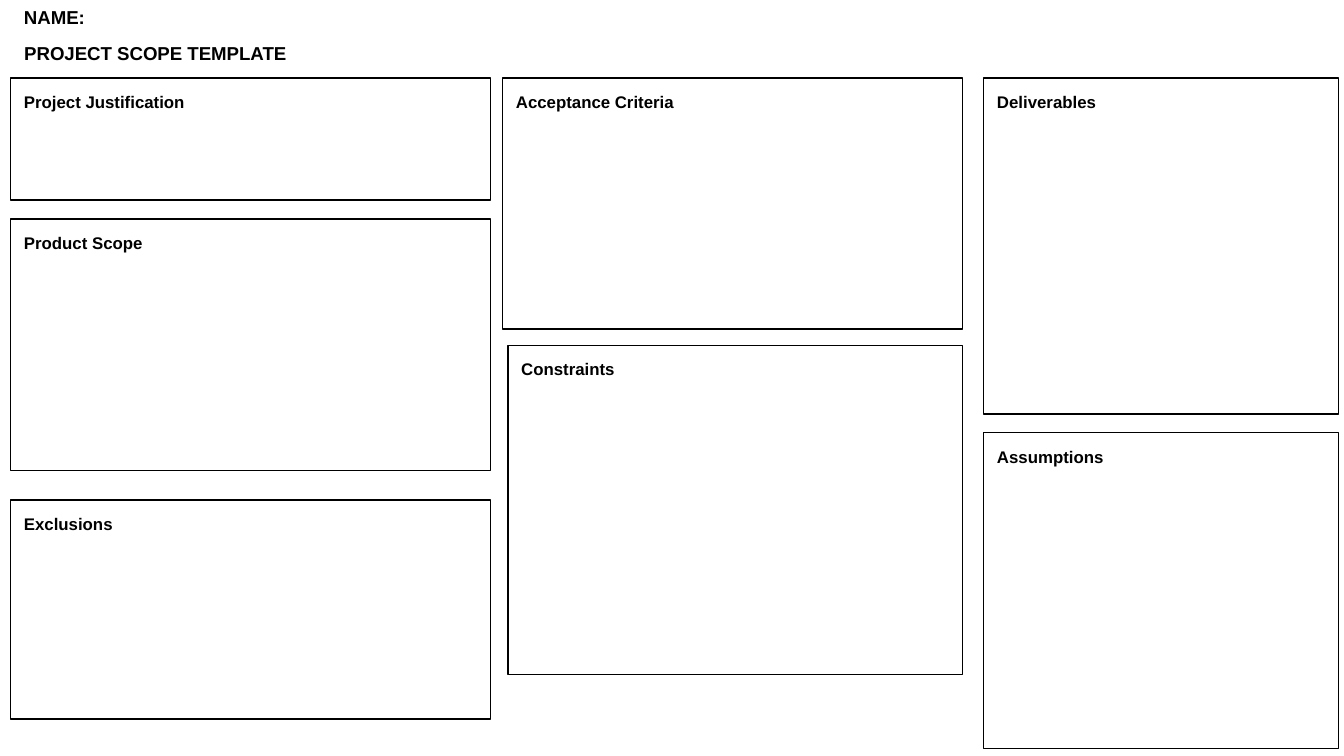
from pptx import Presentation
from pptx.dml.color import RGBColor
from pptx.enum.shapes import MSO_SHAPE as Shape
from pptx.enum.text import MSO_ANCHOR as Anchor, MSO_AUTO_SIZE as AutoSize, PP_ALIGN as Align
from pptx.util import Inches, Pt

COLORS = {"ink": "000000"}
WIDTH = 10
HEIGHT = WIDTH * 9 / 16
MARGIN = 0.08
HEADER = {"width": 3.28, "height": 0.37}
NAME_TOP, TITLE_TOP = -0.04, 0.21
GRID_TOP = TITLE_TOP + HEADER["height"]

COLUMNS = [
    {"left": MARGIN, "right": 3.65, "sections": [
        ("Project Justification", 0, 0.91),
        ("Product Scope", 0.14, 1.87),
        ("Exclusions", 0.22, 1.63),
    ]},
    {"left": 3.74, "right": 7.16, "sections": [
        ("Acceptance Criteria", 0, 1.87),
        ("Constraints", 0.12, 2.45),
    ]},
    {"left": 7.32, "right": 9.96, "sections": [
        ("Deliverables", 0, 2.5),
        ("Assumptions", 0.14, 2.35),
    ]},
]
INDENTS = {"Constraints": 0.04}


def write(shape, text, size=9, color="ink", font="Arial", bold=True, fit=AutoSize.NONE):
    frame = shape.text_frame
    frame.word_wrap = True
    frame.auto_size = fit
    frame.vertical_anchor = Anchor.TOP
    frame.margin_left = frame.margin_right = Inches(0.1)
    frame.margin_top = frame.margin_bottom = Inches(0.1)
    paragraph = frame.paragraphs[0]
    paragraph.alignment = Align.LEFT
    paragraph.line_spacing = 1.0
    run = paragraph.add_run()
    run.text = text
    run.font.name = font
    run.font.size = Pt(size)
    run.font.bold = bold
    run.font.color.rgb = RGBColor.from_string(COLORS[color])


def add_section(slide, heading, left, top, width, height):
    section = slide.shapes.add_shape(
        Shape.RECTANGLE, Inches(left), Inches(top), Inches(width), Inches(height))
    section.shadow.inherit = False
    section.fill.background()
    section.line.color.rgb = RGBColor.from_string(COLORS["ink"])
    section.line.width = Pt(0.75)
    write(section, heading)


def main():
    deck = Presentation()
    deck.slide_width, deck.slide_height = Inches(WIDTH), Inches(HEIGHT)
    slide = deck.slides.add_slide(deck.slide_layouts[5])

    for column in COLUMNS:
        top = GRID_TOP
        for heading, gap, height in column["sections"]:
            top += gap
            left = column["left"] + INDENTS.get(heading, 0)
            add_section(slide, heading, left, top, column["right"] - left, height)
            top += height

    title = slide.shapes.title
    title.left, title.top = Inches(MARGIN), Inches(TITLE_TOP)
    title.width, title.height = Inches(HEADER["width"]), Inches(HEADER["height"])
    write(title, "PROJECT SCOPE TEMPLATE", size=10, fit=AutoSize.SHAPE_TO_FIT_TEXT)

    name = slide.shapes.add_textbox(
        Inches(MARGIN), Inches(NAME_TOP), Inches(HEADER["width"]), Inches(HEADER["height"]))
    write(name, "NAME:", size=10, fit=AutoSize.SHAPE_TO_FIT_TEXT)

    deck.save("out.pptx")


if __name__ == "__main__":
    main()
